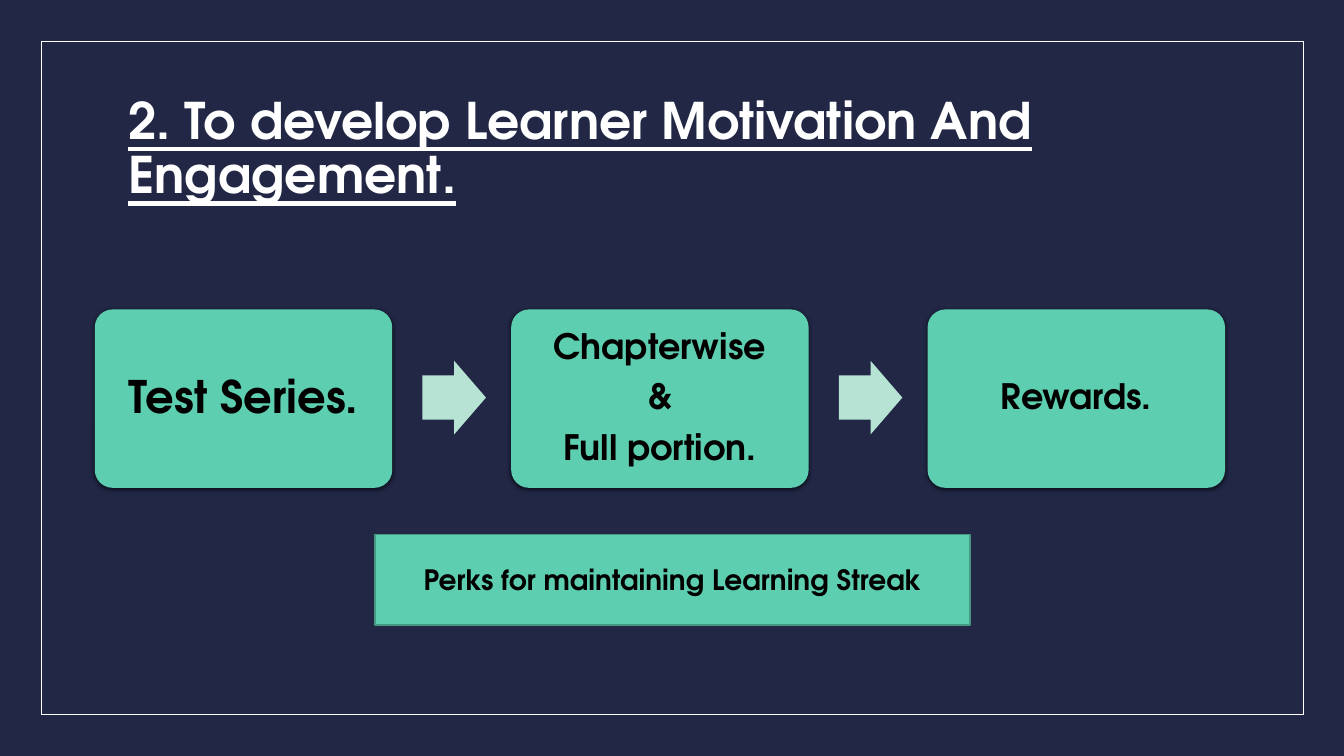
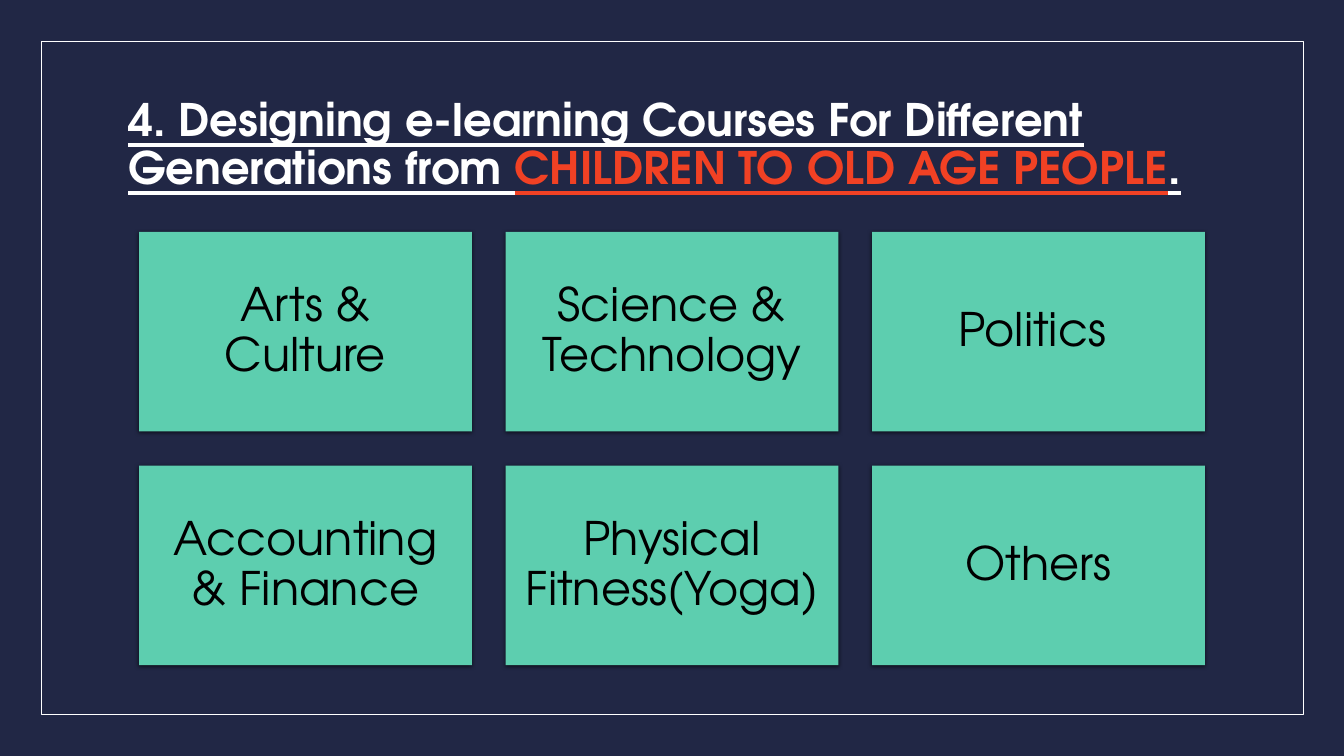
from itertools import product

from lxml import etree
from pptx import Presentation
from pptx.dml.color import RGBColor
from pptx.enum.shapes import MSO_SHAPE
from pptx.enum.text import MSO_ANCHOR, MSO_AUTO_SIZE, PP_ALIGN
from pptx.oxml.ns import qn
from pptx.util import Inches, Pt

RECT = MSO_SHAPE.RECTANGLE
ROUNDED = MSO_SHAPE.ROUNDED_RECTANGLE
RIGHT_ARROW = MSO_SHAPE.RIGHT_ARROW
MIDDLE = MSO_ANCHOR.MIDDLE
NO_AUTOFIT = MSO_AUTO_SIZE.NONE
LEFT, CENTER = PP_ALIGN.LEFT, PP_ALIGN.CENTER

TITLE_ONLY = 5
NAVY = "212745"
WHITE = "FFFFFF"
BLACK = "000000"
MINT = "5DCEAF"
PALE_MINT = "B6E3D4"
DARK_MINT = "459881"
RED = "F14124"


def colour(value):
    return RGBColor.from_string(value)


def assign(target, formats):
    for name, value in formats.items():
        setattr(target, name, value)


class Deck:
    font = "TeX Gyre Adventor"
    title_format = {"bold": True, "underline": True}

    def __init__(self):
        self.prs = Presentation()
        assign(self.prs, {"slide_width": Inches(13.33), "slide_height": Inches(7.5)})
        backdrop = self.prs.slide_master.background.fill
        backdrop.solid()
        backdrop.fore_color.rgb = colour(NAVY)
        self.slide = None

    def add_slide(self, title_parts, title_top, title_size):
        self.slide = self.prs.slides.add_slide(self.prs.slide_layouts[TITLE_ONLY])
        self.shape(RECT, (0.41, 0.41, 12.52, 6.68), line=(WHITE, 0.5))
        self.title(title_parts, title_top, title_size)

    def title(self, parts, top, size):
        title = self.slide.shapes.title
        assign(title, {"left": Inches(1.17), "top": Inches(top),
                       "width": Inches(11), "height": Inches(1.5)})
        assign(title.text_frame, {"auto_size": NO_AUTOFIT, "word_wrap": True,
                                  "vertical_anchor": MIDDLE})
        paragraph = title.text_frame.paragraphs[0]
        assign(paragraph, {"alignment": LEFT, "line_spacing": 0.9})
        for text, ink in parts:
            self.run(paragraph, text, size, ink, self.title_format)

    def run(self, paragraph, text, size, ink, formats):
        run = paragraph.add_run()
        run.text = text
        assign(run.font, {"name": self.font, "size": Pt(size), **formats})
        run.font.color.rgb = colour(ink)

    def shape(self, preset, box, fill=None, line=None, adjustments=()):
        shape = self.slide.shapes.add_shape(preset, *map(Inches, box))
        shape.shadow.inherit = False
        for index, value in enumerate(adjustments):
            shape.adjustments[index] = value
        if fill:
            shape.fill.solid()
            shape.fill.fore_color.rgb = colour(fill)
        else:
            shape.fill.background()
        if line:
            shape.line.color.rgb = colour(line[0])
            shape.line.width = Pt(line[1])
        else:
            shape.line.fill.background()
        return shape

    def label(self, shape, lines, size, bold, inset=0.1, spacing=None):
        frame = shape.text_frame
        assign(frame, {"word_wrap": True, "vertical_anchor": MIDDLE})
        assign(frame, {f"margin_{side}": Inches(inset)
                       for side in ("left", "top", "right", "bottom")})
        for index, text in enumerate(lines):
            paragraph = frame.add_paragraph() if index else frame.paragraphs[0]
            assign(paragraph, {"alignment": CENTER, **(spacing or {})})
            self.run(paragraph, text, size, BLACK, {"bold": bold})

    def card(self, preset, box, lines, size, bold, inset, adjustments=()):
        card = self.shape(preset, box, MINT, adjustments=adjustments)
        self.drop_shadow(card)
        spacing = {"line_spacing": 0.9, "space_after": Pt(size * 0.35)}
        self.label(card, lines, size, bold, inset, spacing)

    def drop_shadow(self, shape):
        effects = shape._element.spPr.find(qn("a:effectLst"))
        shadow = etree.SubElement(effects, qn("a:outerShdw"), blurRad=str(Pt(3)),
                                  dist=str(Pt(1)), dir="5400000", rotWithShape="0")
        ink = etree.SubElement(shadow, qn("a:srgbClr"), val=BLACK)
        etree.SubElement(ink, qn("a:alpha"), val="63000")

    def arrow(self, box):
        self.shape(RIGHT_ARROW, box, PALE_MINT, adjustments=(0.6, 0.5))

    def banner(self, box, text, size):
        banner = self.shape(RECT, box, MINT, (DARK_MINT, 1))
        self.label(banner, [text], size, True)


def motivation_slide(deck):
    deck.add_slide([("2. To develop Learner Motivation And Engagement.", WHITE)], 0.74, 36)
    steps = [
        (["Test Series."], 32, 0.13),
        (["Chapterwise", "&", "Full portion."], 25, 0.1),
        (["Rewards."], 25, 0.1),
    ]
    for index, (lines, size, inset) in enumerate(steps):
        left = 0.94 + index * 4.13
        if index:
            deck.arrow((left - 0.88, 3.58, 0.63, 0.73))
        deck.card(ROUNDED, (left, 3.07, 2.95, 1.77), lines, size, True, inset, (0.1,))
    deck.banner((3.72, 5.3, 5.9, 0.9), "Perks for maintaining Learning Streak", 20)


def courses_slide(deck):
    deck.add_slide([
        ("4. Designing e-learning Courses For Different Generations from ", WHITE),
        ("CHILDREN TO OLD AGE PEOPLE", RED),
        (".", WHITE),
    ], 0.7, 32)
    courses = ["Arts & Culture", "Science & Technology", "Politics ",
               "Accounting & Finance", "Physical Fitness(Yoga)", "Others"]
    for (row, column), course in zip(product(range(2), range(3)), courses):
        box = (1.38 + column * 3.635, 2.3 + row * 2.32, 3.3, 1.98)
        deck.card(RECT, box, [course], 33, False, 0.14)


def main():
    deck = Deck()
    motivation_slide(deck)
    courses_slide(deck)
    deck.prs.save("out.pptx")


if __name__ == "__main__":
    main()
